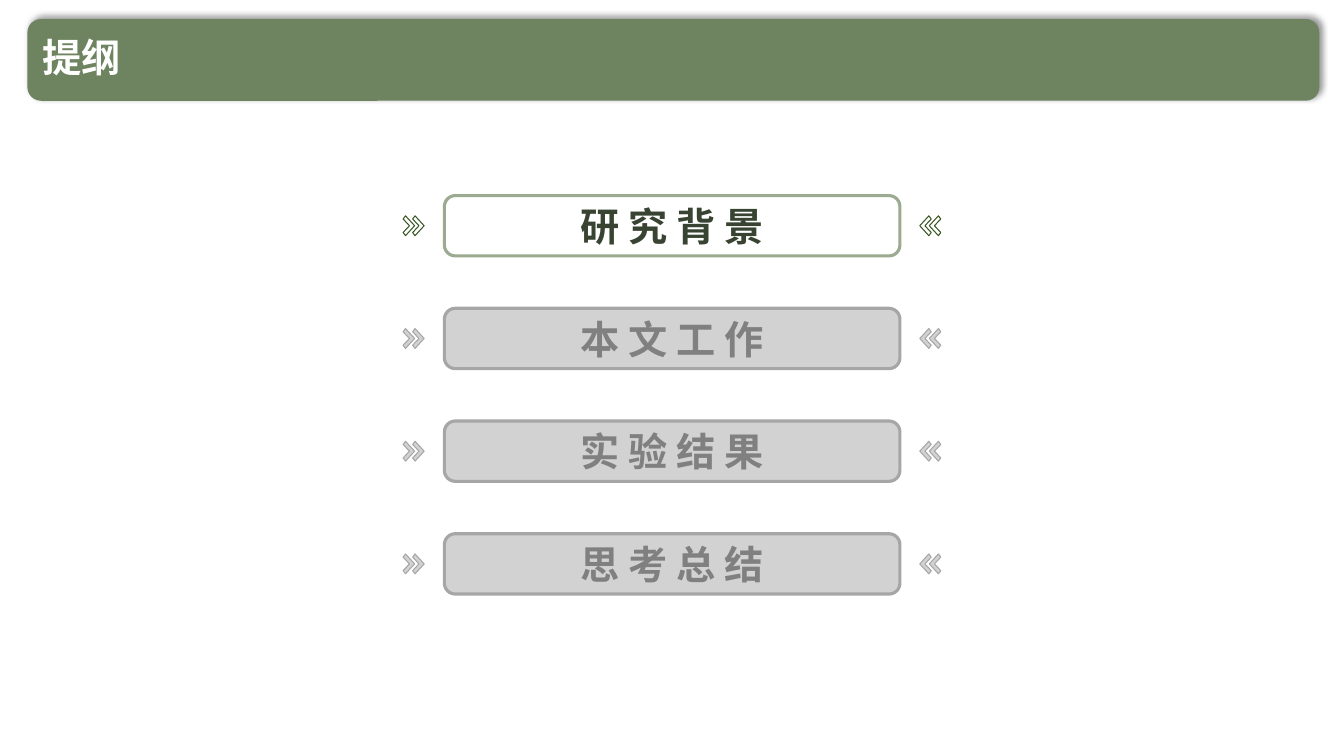
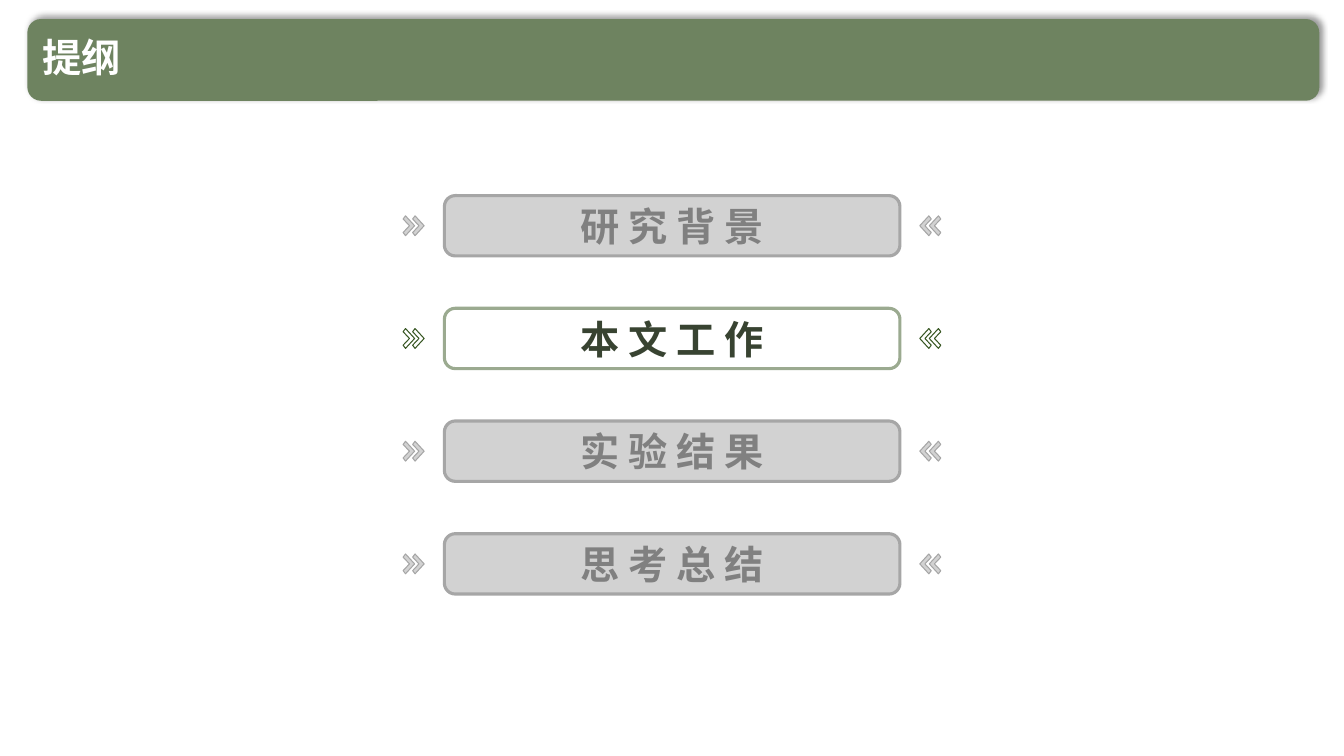
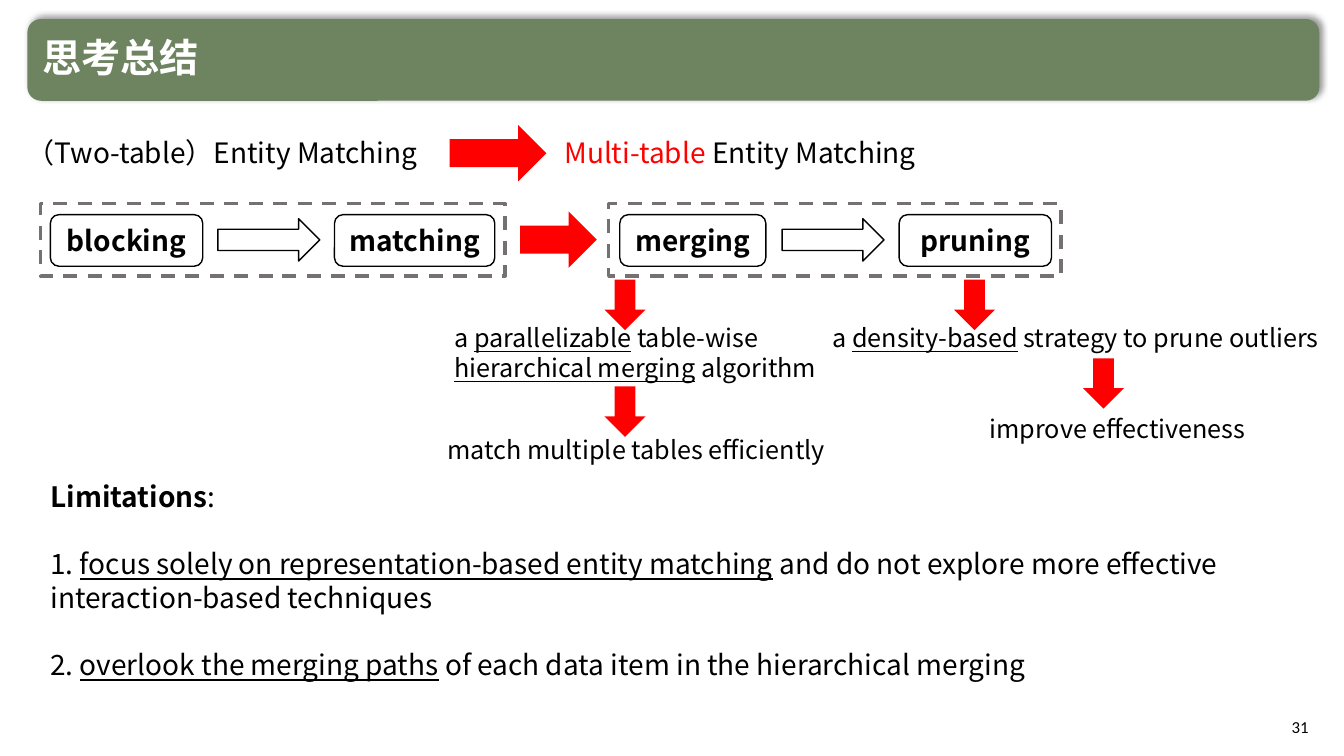
from lxml.etree import SubElement
from pptx import Presentation
from pptx.dml.color import RGBColor
from pptx.enum.dml import MSO_LINE
from pptx.enum.shapes import MSO_SHAPE as Preset
from pptx.enum.text import MSO_ANCHOR as Anchor, PP_ALIGN as Align
from pptx.oxml.ns import qn
from pptx.util import Cm, Pt

COLORS = {
    "band": "6E8360",
    "white": "FFFFFF",
    "black": "000000",
    "red": "FF0000",
    "frame": "767171",
    "active_line": "9BAA90",
    "active_text": "384331",
    "active_chevron": "385723",
    "idle": "A6A6A6",
    "idle_text": "808080",
}
FONT = "Noto Sans CJK SC"
SLIDE_WIDTH, SLIDE_HEIGHT = 33.87, 19.05
LINE_HEIGHT = 1.2
AGENDA = ["研 究 背 景", "本 文 工 作", "实 验 结 果", "思 考 总 结"]
CHEVRON = [(0.06, 0), (0, 0.08), (0.16, 0.25), (0, 0.42), (0.06, 0.5), (0.29, 0.25)]


def color(name):
    return RGBColor.from_string(COLORS[name])


class Deck:
    def __init__(self):
        self.presentation = Presentation()
        self.presentation.slide_width = Cm(SLIDE_WIDTH)
        self.presentation.slide_height = Cm(SLIDE_HEIGHT)
        self.slide = None

    def new_slide(self, title):
        self.slide = self.presentation.slides.add_slide(self.presentation.slide_layouts[5])
        band = self.shape(Preset.ROUNDED_RECTANGLE, 0.69, 0.48, 32.56, 2.06, fill="band")
        self.cast_shadow(band)
        self.slide.shapes.element.insert(2, band.element)
        heading = self.slide.shapes.title
        heading.left, heading.top, heading.width, heading.height = Cm(0.81), Cm(0.71), Cm(28.12), Cm(1.57)
        self.set_text(heading, [[title]], 28, "white", bold=True)

    def cast_shadow(self, shape):
        effects = shape.element.spPr.find(qn("a:effectLst"))
        shadow = SubElement(effects, qn("a:outerShdw"), blurRad=str(Pt(4)), dist=str(Pt(3)),
                            dir="18900000", algn="bl", rotWithShape="0")
        shade = SubElement(shadow, qn("a:srgbClr"), val=COLORS["black"])
        SubElement(shade, qn("a:alpha"), val="40000")

    def paint(self, shape, fill=None, line=None, weight=1, opacity=100):
        shape.shadow.inherit = False
        if fill:
            shape.fill.solid()
            shape.fill.fore_color.rgb = color(fill)
            if opacity < 100:
                tone = shape.element.spPr.find(qn("a:solidFill")).find(qn("a:srgbClr"))
                SubElement(tone, qn("a:alpha"), val=str(opacity * 1000))
        else:
            shape.fill.background()
        if line:
            shape.line.color.rgb = color(line)
            shape.line.width = Pt(weight)
        else:
            shape.line.fill.background()

    def shape(self, preset, left, top, width, height, **style):
        shape = self.slide.shapes.add_shape(preset, Cm(left), Cm(top), Cm(width), Cm(height))
        self.paint(shape, **style)
        return shape

    def set_text(self, shape, paragraphs, size, ink="black", bold=False, align=Align.LEFT,
                 anchor=Anchor.TOP, gap=0, font=FONT):
        frame = shape.text_frame
        frame.word_wrap = True
        frame.vertical_anchor = anchor
        for index, runs in enumerate(paragraphs):
            paragraph = frame.paragraphs[0] if index == 0 else frame.add_paragraph()
            paragraph.alignment = align
            paragraph.line_spacing = Pt(size * LINE_HEIGHT)
            paragraph.space_before = Pt(gap if index else 0)
            paragraph.font.size = Pt(size)
            paragraph.font.bold = bold
            paragraph.font.name = font
            paragraph.font.color.rgb = color(ink)
            for item in runs:
                text, mark = item if isinstance(item, tuple) else (item, None)
                run = paragraph.add_run()
                run.text = text
                if mark == "underline":
                    run.font.underline = True
                elif mark == "bold":
                    run.font.bold = True
                elif mark:
                    run.font.color.rgb = color(mark)
        for properties in shape.element.iter(qn("a:defRPr")):
            SubElement(properties, qn("a:ea"), typeface=font)

    def text(self, left, top, width, height, paragraphs, size, **style):
        box = self.slide.shapes.add_textbox(Cm(left), Cm(top), Cm(width), Cm(height))
        self.set_text(box, paragraphs, size, **style)

    def chevron(self, left, top, mirrored, **style):
        points = [(left + x, top + y) for x, y in CHEVRON]
        if mirrored:
            points = [(SLIDE_WIDTH - x, y) for x, y in points]
        points = [(Cm(x), Cm(y)) for x, y in points]
        builder = self.slide.shapes.build_freeform(*points[0])
        builder.add_line_segments(points[1:], close=True)
        self.paint(builder.convert_to_shape(), **style)

    def agenda_item(self, label, top, active):
        fill, opacity = (None, 100) if active else ("idle", 50)
        for mirrored in (False, True):
            for left in (10.16, 10.4):
                self.chevron(left, top + 0.51, mirrored, fill=fill, opacity=opacity,
                             line="active_chevron" if active else "idle", weight=0.75)
        box = self.shape(Preset.ROUNDED_RECTANGLE, 11.2, top, 11.48, 1.52, fill=fill, opacity=opacity,
                         line="active_line" if active else "idle", weight=2.25)
        box.adjustments[0] = 0.18
        self.set_text(box, [[label]], 28, "active_text" if active else "idle_text", bold=True,
                      align=Align.CENTER, anchor=Anchor.MIDDLE)

    def agenda(self, current):
        self.new_slide("提纲")
        for index, label in enumerate(AGENDA):
            self.agenda_item(label, 4.93 + 2.84 * index, index == current)

    def step(self, label, left, width):
        box = self.shape(Preset.ROUNDED_RECTANGLE, left, 5.41, width, 1.3, line="black")
        self.set_text(box, [[label]], 20, bold=True, align=Align.CENTER, anchor=Anchor.MIDDLE)

    def dashed_frame(self, left, width):
        frame = self.shape(Preset.RECTANGLE, left, 5.13, width, 1.83, line="frame", weight=2.5)
        frame.line.dash_style = MSO_LINE.DASH

    def down_arrow(self, center, top):
        self.shape(Preset.DOWN_ARROW, center - 0.52, top, 1.04, 1.27, fill="red")


def build_summary(deck):
    deck.new_slide("思考总结")
    deck.text(31.22, 17.81, 2.01, 1.02, [["31"]], 12, align=Align.RIGHT, anchor=Anchor.MIDDLE, font="Calibri")

    deck.text(0.43, 3.3, 12.47, 1.12, [["（Two-table）Entity Matching"]], 20)
    deck.shape(Preset.RIGHT_ARROW, 11.33, 3.15, 2.44, 1.42, fill="red")
    deck.text(13.97, 3.3, 12.47, 1.12, [[("Multi-table", "red"), " Entity Matching"]], 20)

    for label, left, width in [("blocking", 1.27, 3.84), ("matching", 8.43, 4.04),
                               ("merging", 15.62, 3.68), ("pruning", 22.66, 3.84)]:
        deck.step(label, left, width)
    for left in (5.49, 19.71):
        deck.shape(Preset.RIGHT_ARROW, left, 5.51, 2.57, 1.07, line="black")
    for left, width in [(1.02, 11.71), (15.34, 11.4)]:
        deck.dashed_frame(left, width)
    deck.shape(Preset.RIGHT_ARROW, 13.11, 5.33, 1.93, 1.42, fill="red")

    for center, top in [(15.75, 7.05), (15.75, 9.74), (24.56, 7.05), (27.81, 9.03)]:
        deck.down_arrow(center, top)
    deck.text(11.2, 8, 10.06, 1.8, [["a ", ("parallelizable", "underline"), " table-wise ",
                                     ("hierarchical merging", "underline"), " algorithm"]], 18)
    deck.text(11.02, 10.82, 11.4, 1.02, [["match multiple tables efficiently"]], 18)
    deck.text(20.73, 8, 13.1, 1.02, [["a ", ("density-based", "underline"),
                                      " strategy to prune outliers"]], 18)
    deck.text(24.69, 10.29, 9.1, 1.02, [["improve effectiveness"]], 18)

    deck.text(1.02, 11.96, 30.61, 5.38, [
        [("Limitations", "bold"), ":"],
        ["1. ", ("focus solely on representation-based entity matching", "underline"),
         " and do not explore more effective interaction-based techniques"],
        ["2. ", ("overlook the merging paths", "underline"),
         " of each data item in the hierarchical merging"],
    ], 20, gap=24)


def main():
    deck = Deck()
    deck.agenda(0)
    deck.agenda(1)
    build_summary(deck)
    deck.presentation.save("out.pptx")


if __name__ == "__main__":
    main()
